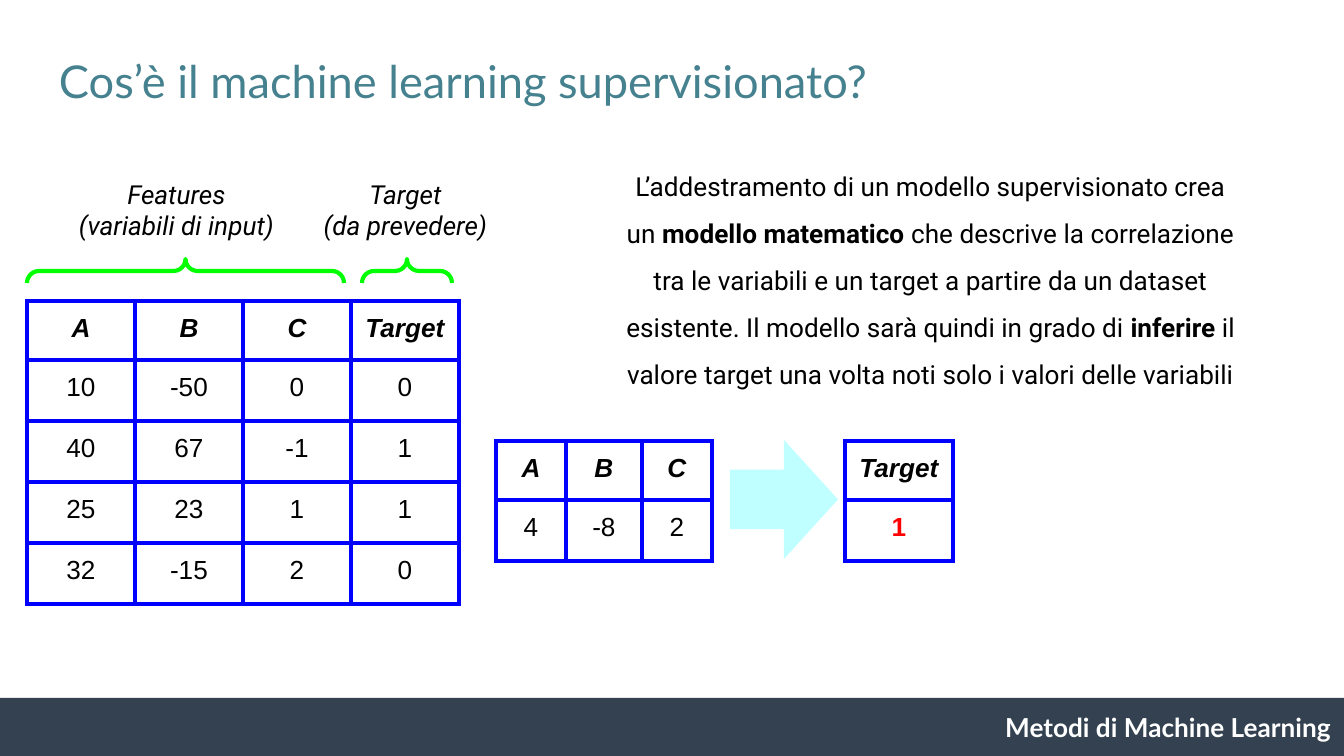
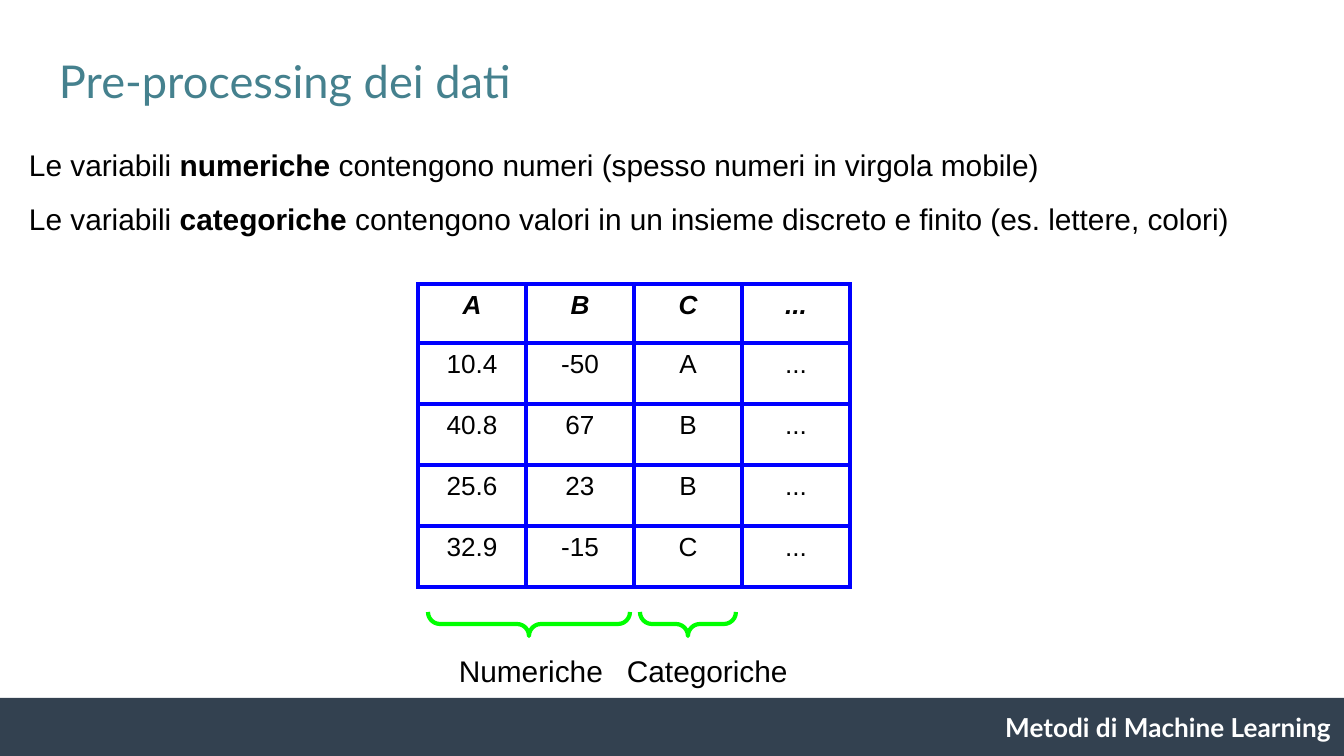
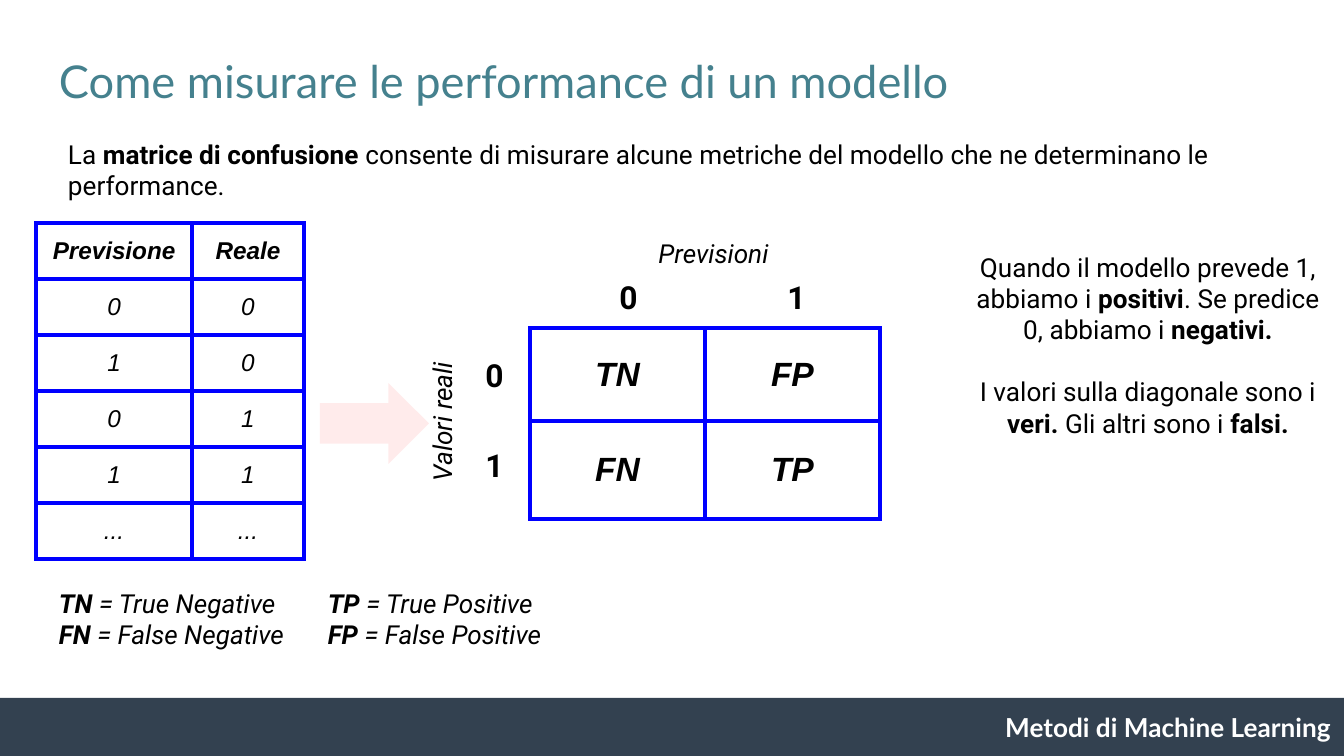
import dataclasses

import lxml.etree
import pptx
import pptx.dml.color
import pptx.enum.shapes
import pptx.enum.text
import pptx.oxml.ns
import pptx.util

PX = 914400 / 134.4  # EMU in one px
WIDTH, HEIGHT = 1344, 756
ALIGN = pptx.enum.text.PP_ALIGN
ANCHOR = pptx.enum.text.MSO_ANCHOR
SHAPE = pptx.enum.shapes.MSO_SHAPE
qn = pptx.oxml.ns.qn


@dataclasses.dataclass(frozen=True)
class Theme:
    # Colours
    title: str = "45818E"
    band: str = "334150"
    white: str = "FFFFFF"
    text: str = "000000"
    grid: str = "0000FF"
    brace: str = "00FF00"
    cyan: str = "00FFFF"
    red: str = "FF0000"
    # Fonts
    heading_font: str = "Lato"
    body_font: str = "Roboto"
    data_font: str = "Arial"
    # Type sizes and line widths, in points
    title_size: float = 24.2
    body_size: float = 14
    small_size: float = 13
    list_size: float = 16
    axis_size: float = 17
    matrix_size: float = 18
    line: float = 2.25
    # Inner margins, in px
    inset: int = 13
    tight: int = 7


def emu(px):
    return round(px * PX)


def rgb(colour):
    return pptx.dml.color.RGBColor.from_string(colour)


def apply(obj, values):
    for name, value in values.items():
        setattr(obj, name, value)


class Deck:
    """Holds the style and the current slide."""

    def __init__(self, theme):
        self.theme = theme
        self.prs = pptx.Presentation()
        apply(self.prs, {"slide_width": emu(WIDTH), "slide_height": emu(HEIGHT)})

    def slide(self, title):
        t = self.theme
        self.s = self.prs.slides.add_slide(self.prs.slide_layouts[1])
        self.fill_text(self.s.shapes.title, (46, 38, 1252, 84), [title], align=ALIGN.LEFT,
                       anchor=ANCHOR.MIDDLE, name=t.heading_font, size=t.title_size,
                       colour=t.title)
        self.shape(SHAPE.RECTANGLE, (0, 698, WIDTH, 58), t.band)
        self.text((985, 698, 359, 58), ["Metodi di Machine Learning"], align=ALIGN.RIGHT,
                  name=t.heading_font, colour=t.white, bold=True)

    def runs(self, p, text, colour=None, **fmt):
        """Write text into a paragraph; parts between ** are bold."""
        font = {"name": self.theme.body_font, "size": self.theme.body_size,
                "bold": False, "italic": False, **fmt}
        font["size"] = pptx.util.Pt(font["size"])
        for i, part in enumerate(text.split("**")):
            if part:
                r = p.add_run()
                r.text = part
                apply(r.font, {**font, "bold": font["bold"] or i % 2 == 1})
                r.font.color.rgb = rgb(colour or self.theme.text)

    def fill_text(self, sp, box, lines, align=ALIGN.CENTER, anchor=ANCHOR.TOP, spacing=1.0,
                  gap=0, pad=None, rotation=0, **fmt):
        apply(sp, dict(zip(("left", "top", "width", "height"), map(emu, box))))
        sp.rotation = rotation
        tf = sp.text_frame
        side, edge = emu(self.theme.inset), emu(pad or self.theme.inset)
        apply(tf, {"word_wrap": True, "auto_size": pptx.enum.text.MSO_AUTO_SIZE.NONE,
                   "vertical_anchor": anchor, "margin_left": side, "margin_right": side,
                   "margin_top": edge, "margin_bottom": edge})
        for i, line in enumerate(lines):
            p = tf.add_paragraph() if i else tf.paragraphs[0]
            apply(p, {"alignment": align, "line_spacing": spacing,
                      "space_before": pptx.util.Pt(gap if i else 0),
                      "space_after": pptx.util.Pt(0)})
            self.runs(p, line, **fmt)

    def text(self, box, lines, **style):
        sp = self.s.shapes.add_textbox(*map(emu, box))
        self.fill_text(sp, box, lines, **style)

    def body(self, box, lines, **style):
        sp = self.s.placeholders[1]
        self.fill_text(sp, box, lines, **style)
        for p in sp.text_frame.paragraphs:  # plain paragraphs, no bullets
            pPr = p._p.get_or_add_pPr()
            pPr.set("marL", "0")
            pPr.set("indent", "0")
            lxml.etree.SubElement(pPr, qn("a:buNone"))

    def shape(self, kind, box, fill, alpha=None):
        sp = self.s.shapes.add_shape(kind, *map(emu, box))
        sp.shadow.inherit = False
        sp.line.fill.background()
        sp.fill.solid()
        sp.fill.fore_color.rgb = rgb(fill)
        if alpha is not None:
            clr = sp._element.spPr.find(qn("a:solidFill"))[0]
            lxml.etree.SubElement(clr, qn("a:alpha"), val=str(alpha * 1000))

    def brace(self, x, y, length, rotation, depth=24):
        """Horizontal brace: a left brace turned about its centre."""
        shift = (length - depth) / 2
        sp = self.s.shapes.add_shape(SHAPE.LEFT_BRACE, emu(x + shift), emu(y - shift),
                                     emu(depth), emu(length))
        sp.shadow.inherit = False
        sp.rotation = rotation
        sp.adjustments[0] = sp.adjustments[1] = 0.5
        sp.fill.background()
        sp.line.color.rgb = rgb(self.theme.brace)
        sp.line.width = pptx.util.Pt(self.theme.line)

    def border(self, cell):
        tcPr = cell._tc.get_or_add_tcPr()
        for side in ("lnL", "lnR", "lnT", "lnB"):
            ln = lxml.etree.SubElement(tcPr, qn("a:" + side),
                                       w=str(pptx.util.Pt(self.theme.line)))
            fill = lxml.etree.SubElement(ln, qn("a:solidFill"))
            lxml.etree.SubElement(fill, qn("a:srgbClr"), val=self.theme.grid)

    def table(self, x, y, cols, heights, rows, anchor=ANCHOR.TOP, pad=None, size=None, body=None):
        """Bold italic first row; body holds the format of the other rows."""
        t = self.theme
        frame = self.s.shapes.add_table(len(rows), len(cols), emu(x), emu(y),
                                        emu(sum(cols)), emu(sum(heights)))
        tbl = frame.table
        apply(tbl, {"first_row": False, "horz_banding": False})
        for col, width in zip(tbl.columns, cols):
            col.width = emu(width)
        side, edge = emu(t.inset), emu(pad or t.inset)
        head = {"bold": True, "italic": True}
        for i, (row, height) in enumerate(zip(rows, heights)):
            tbl.rows[i].height = emu(height)
            for j, value in enumerate(row):
                cell = tbl.cell(i, j)
                self.border(cell)
                cell.fill.background()
                apply(cell, {"vertical_anchor": anchor, "margin_left": side,
                             "margin_right": side, "margin_top": edge, "margin_bottom": edge})
                p = cell.text_frame.paragraphs[0]
                p.alignment = ALIGN.CENTER
                self.runs(p, value, name=t.data_font, size=size or t.body_size,
                          **((body or {}) if i else head))


def supervised(deck):
    t = deck.theme
    deck.slide("Cos’è il machine learning supervisionato?")
    deck.body((605, 142, 651, 99), [
        "L’addestramento di un modello supervisionato crea un **modello matematico **che descrive "
        "la correlazione tra le variabili e un target a partire da un dataset esistente. Il modello "
        "sarà quindi in grado di **inferire **il valore target una volta noti solo i valori delle "
        "variabili"], spacing=1.5)
    # Training data with its labels
    deck.table(27, 301, [108] * 4, [59] + [61] * 4, [
        ("A", "B", "C", "Target"), ("10", "-50", "0", "0"), ("40", "67", "-1", "1"),
        ("25", "23", "1", "1"), ("32", "-15", "2", "0")])
    for x, length in ((27, 317), (362, 90)):
        deck.brace(x, 259, length, 90)
    for x, lines in ((65, ["Features", "(variabili di input)"]),
                     (294, ["Target", "(da prevedere)"])):
        deck.text((x, 165, 223, 54), lines, italic=True)
    # New case and its prediction
    deck.table(496, 441, [70, 76, 70], [59, 61], [("A", "B", "C"), ("4", "-8", "2")])
    deck.shape(SHAPE.RIGHT_ARROW, (730, 440, 108, 119), t.cyan, alpha=25)
    deck.table(845, 441, [108], [59, 61], [("Target",), ("1",)],
               body={"bold": True, "colour": t.red})


def preprocessing(deck):
    t = deck.theme
    deck.slide("Pre-processing dei dati")
    style = {"spacing": 1.5, "pad": t.tight, "name": t.data_font, "size": t.list_size}
    deck.body((16, 122, 1328, 113), [
        "Le variabili **numeriche **contengono numeri (spesso numeri in virgola mobile)",
        "Le variabili **categoriche **contengono valori in un insieme discreto e finito "
        "(es. lettere, colori)"], align=ALIGN.LEFT, **style)
    deck.table(418, 284, [108] * 4, [59] + [61] * 4, [
        ("A", "B", "C", "..."), ("10.4", "-50", "A", "..."), ("40.8", "67", "B", "..."),
        ("25.6", "23", "B", "..."), ("32.9", "-15", "C", "...")], pad=t.tight)
    # Kinds of variable
    for x, length in ((428, 202), (640, 96)):
        deck.brace(x, 612, length, 270)
    deck.text((430, 628, 202, 82), ["Numeriche"], **style)
    deck.text((614, 628, 207, 82), ["Categoriche"], align=ALIGN.LEFT, **style)


def performance(deck):
    t = deck.theme
    deck.slide("Come misurare le performance di un modello")
    deck.body((55, 125, 1210, 63), [
        "La **matrice di confusione** consente di misurare alcune metriche del modello che ne "
        "determinano le performance."], align=ALIGN.LEFT)
    # Predictions against real values
    deck.table(36, 223, [156, 112], [56] * 6, [
        ("Previsione", "Reale"), ("0", "0"), ("1", "0"), ("0", "1"), ("1", "1"), ("...", "...")],
        anchor=ANCHOR.MIDDLE, size=t.small_size, body={"italic": True})
    deck.shape(SHAPE.RIGHT_ARROW, (320, 383, 109, 81), t.red, alpha=8)
    # Confusion matrix with its axes
    deck.table(530, 328, [175, 175], [93, 98], [("TN", "FP"), ("FN", "TP")],
               anchor=ANCHOR.MIDDLE, size=t.matrix_size, body={"bold": True, "italic": True})
    deck.text((547, 224, 333, 63), ["Previsioni"], italic=True)
    deck.text((343, 390, 203, 63), ["Valori reali"], rotation=270, italic=True)
    for x, y, label in ((579, 265, "0"), (747, 265, "1"), (445, 343, "0"), (445, 433, "1")):
        deck.text((x, y, 99, 54), [label], size=t.axis_size, bold=True)
    # Reading notes and legend
    deck.text((962, 238, 372, 191), [
        "Quando il modello prevede 1, abbiamo i **positivi**. Se predice 0, abbiamo i "
        "**negativi.**",
        "I valori sulla diagonale sono i **veri. **Gli altri sono i **falsi.**"], gap=16.4)
    deck.text((46, 574, 1152, 63), [
        "**TN **= True Negative\t**TP **= True Positive",
        "**FN **= False Negative\t**FP **= False Positive"], align=ALIGN.LEFT, italic=True)


def main():
    deck = Deck(Theme())
    for build in (supervised, preprocessing, performance):
        build(deck)
    deck.prs.save("out.pptx")


if __name__ == "__main__":
    main()
